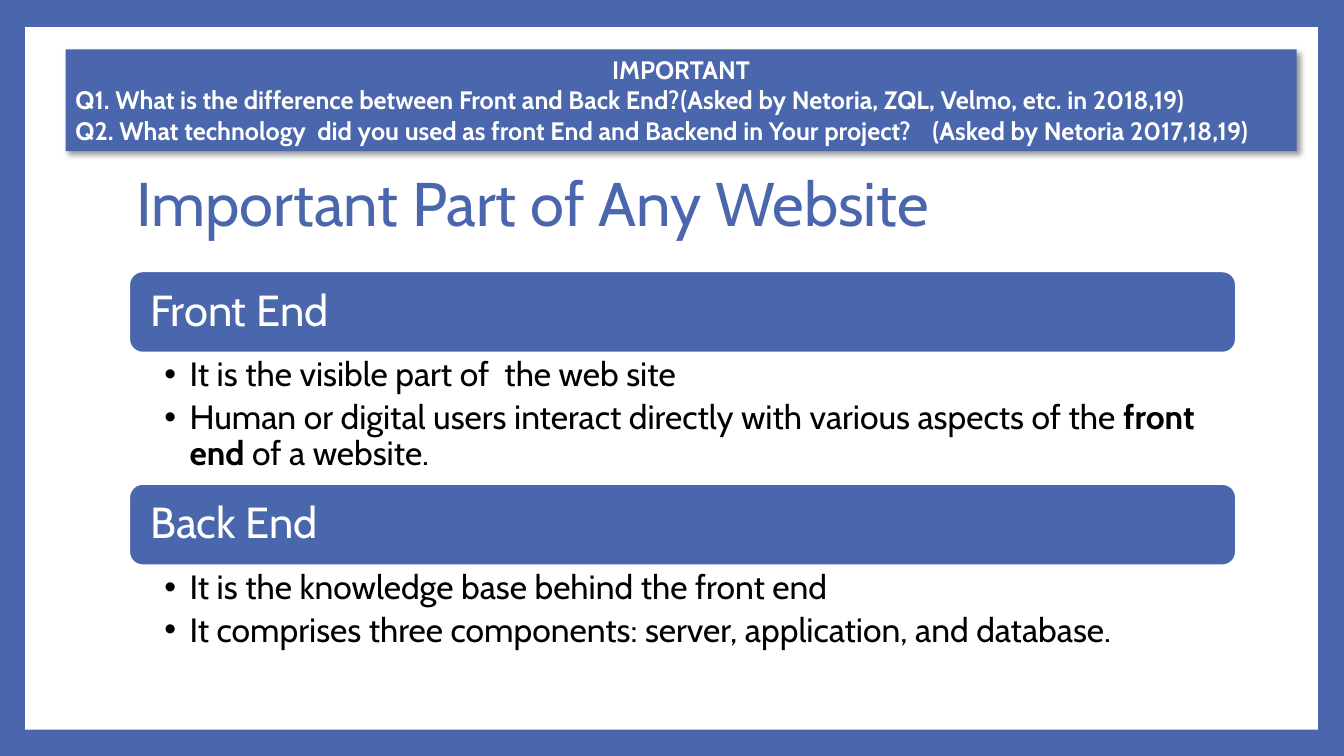
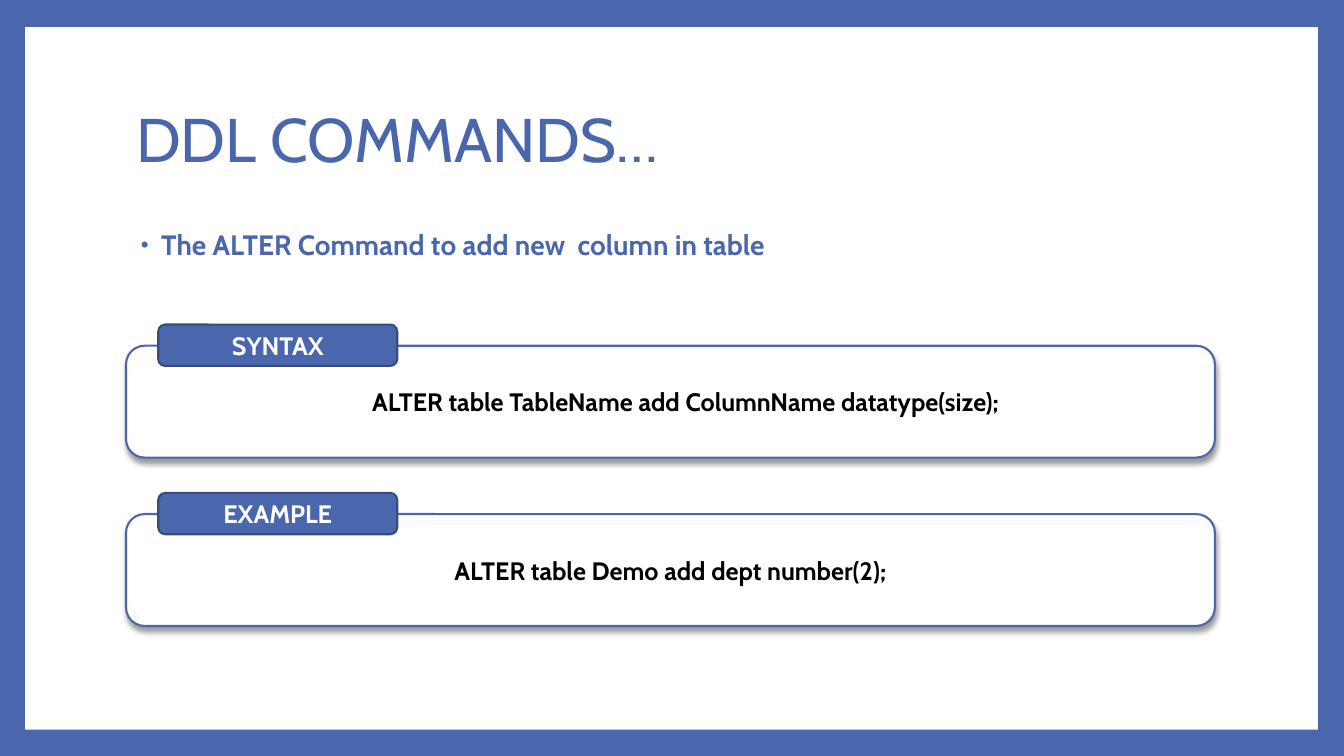
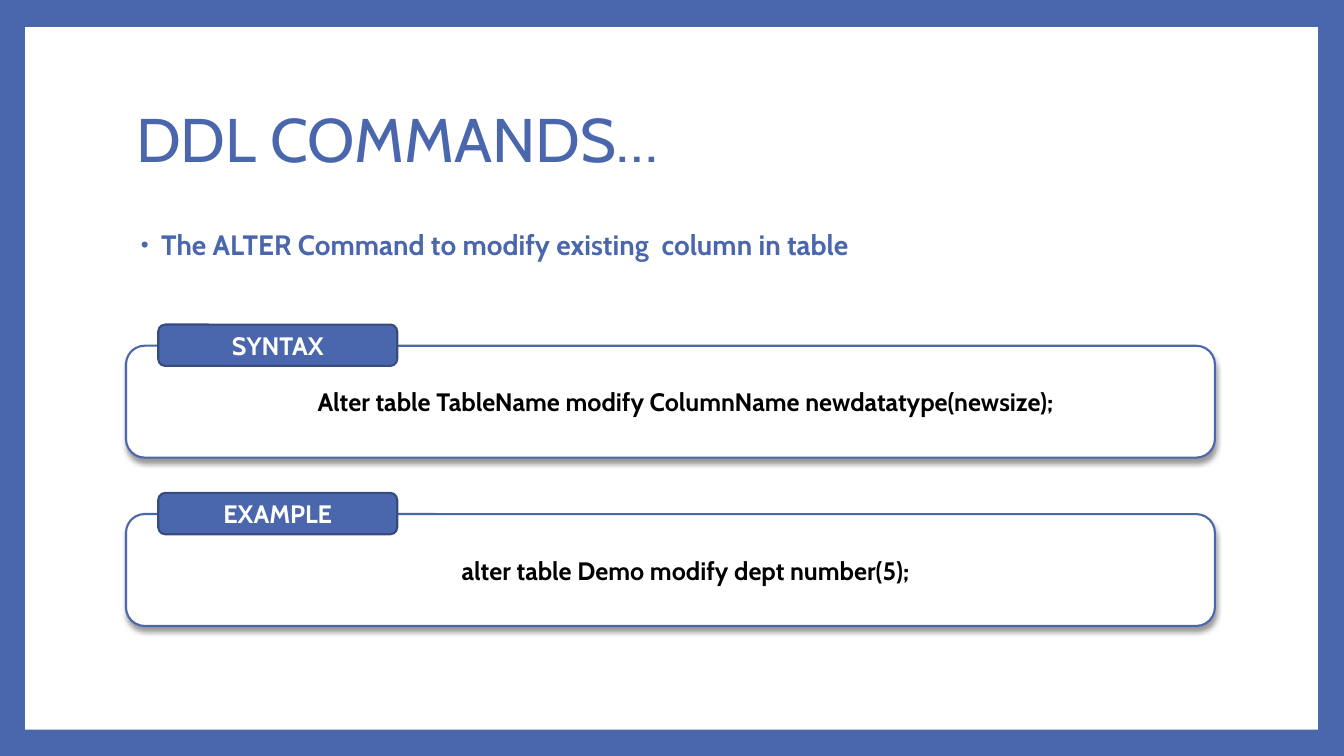
"""Build three lesson slides: website parts and two DDL commands."""
import lxml.etree
import pptx
import pptx.dml.color
import pptx.enum.shapes
import pptx.enum.text
import pptx.oxml.ns
import pptx.util

Inches = pptx.util.Inches
Pt = pptx.util.Pt
RGBColor = pptx.dml.color.RGBColor
Shape = pptx.enum.shapes.MSO_SHAPE
Align = pptx.enum.text.PP_ALIGN
Anchor = pptx.enum.text.MSO_ANCHOR
qn = pptx.oxml.ns.qn

BLUE = RGBColor(0x4A, 0x66, 0xAC)
NAVY = RGBColor(0x37, 0x4B, 0x7F)
WHITE = RGBColor(0xFF, 0xFF, 0xFF)
BLACK = RGBColor(0x00, 0x00, 0x00)
FONT = "Cabin"
LEFT, WIDTH = 1.25, 10.8


def add_element(parent, tag, **attributes):
    """Append a drawing element to its parent and return it."""
    return lxml.etree.SubElement(parent, qn(tag), attributes)


def write(frame, text, *, size=18, color=BLACK, bold=False, align=Align.LEFT,
          spacing=1.0, after=0, margin=0, indent=0, bullet=None, bullet_size=100, tab=None):
    """Add a paragraph to a text frame; parts between ** are bold."""
    para = frame.paragraphs[0]
    if para.runs:
        para = frame.add_paragraph()
    para.alignment = align
    para.line_spacing = spacing
    para.space_before = Pt(0)
    para.space_after = Pt(after)
    properties = para._p.get_or_add_pPr()
    properties.set("marL", str(Inches(margin)))
    properties.set("indent", str(Inches(indent)))
    if bullet:
        tint = add_element(properties, "a:buClr")
        add_element(tint, "a:srgbClr", val=str(color))
        add_element(properties, "a:buSzPct", val=str(bullet_size * 1000))
        add_element(properties, "a:buFont", typeface="Arial")
        add_element(properties, "a:buChar", char=bullet)
    if tab:
        stops = add_element(properties, "a:tabLst")
        add_element(stops, "a:tab", pos=str(Inches(tab)), algn="l")
    for number, part in enumerate(text.split("**")):
        span = para.add_run()
        span.text = part
        span.font.name = FONT
        span.font.size = Pt(size)
        span.font.bold = bold or number % 2 == 1
        span.font.color.rgb = color


class Lesson:
    """Hold the shared style and the current slide."""

    def __init__(self):
        """Set up the slide size, the blue background and the white panel."""
        self.deck = pptx.Presentation()
        self.deck.slide_width = Inches(13.33)
        self.deck.slide_height = Inches(7.5)
        fill = self.deck.slide_master.background.fill
        fill.solid()
        fill.fore_color.rgb = BLUE
        self.layout = self.deck.slide_layouts[5]
        self.page = None

    def add_page(self, title, top=0.67):
        """Start a slide with its title, and give the layout its panel once."""
        first = self.page is None
        self.page = self.deck.slides.add_slide(self.layout)
        if first:
            panel = self.add_block(Shape.RECTANGLE, 0.25, 0.27, 12.82, 6.97, WHITE)
            panel.element.nvSpPr.cNvPr.set("id", "20")
            self.layout.placeholders[0].element.addprevious(panel.element)
        box = self.page.shapes.title
        box.left, box.top = Inches(LEFT), Inches(top)
        box.width, box.height = Inches(WIDTH), Inches(1.48)
        frame = box.text_frame
        frame.auto_size = pptx.enum.text.MSO_AUTO_SIZE.NONE
        frame.vertical_anchor = Anchor.MIDDLE
        write(frame, title, size=44, color=BLUE, spacing=0.9)

    def add_block(self, kind, left, top, width, height, fill, line=None, shadow_angle=None):
        """Add a filled shape with an optional outline and shadow."""
        block = self.page.shapes.add_shape(
            kind, Inches(left), Inches(top), Inches(width), Inches(height))
        block.fill.solid()
        block.fill.fore_color.rgb = fill
        if line is None:
            block.line.fill.background()
        else:
            block.line.color.rgb = line
            block.line.width = Pt(1.5)
        block.shadow.inherit = False
        if shadow_angle is not None:
            effects = block.element.spPr.find(qn("a:effectLst"))
            shadow = add_element(effects, "a:outerShdw", blurRad=str(Pt(4)), dist=str(Pt(3)),
                                 dir=str(shadow_angle * 60000), algn="tl", rotWithShape="0")
            tint = add_element(shadow, "a:srgbClr", val=str(BLACK))
            add_element(tint, "a:alpha", val="40000")
        block.text_frame.word_wrap = True
        return block

    def add_text(self, left, top, width, height, insets=(0.1, 0.05, 0.1, 0.05)):
        """Add an empty wrapping text box and return its frame."""
        box = self.page.shapes.add_textbox(
            Inches(left), Inches(top), Inches(width), Inches(height))
        frame = box.text_frame
        frame.word_wrap = True
        (frame.margin_left, frame.margin_top,
         frame.margin_right, frame.margin_bottom) = map(Inches, insets)
        return frame

    def add_banner(self, heading, questions):
        """Add the banner of questions, each with its own tab stop."""
        block = self.add_block(Shape.RECTANGLE, 0.65, 0.49, 12.21, 1.01, BLUE, shadow_angle=45)
        frame = block.text_frame
        frame.vertical_anchor = Anchor.TOP
        write(frame, heading, color=WHITE, bold=True, align=Align.CENTER)
        for question, tab in questions:
            write(frame, question, color=WHITE, bold=True, tab=tab)

    def add_section(self, top, heading, points, height):
        """Add a heading bar with bullet points under it."""
        bar = self.add_block(Shape.ROUNDED_RECTANGLE, 1.28, top, 10.98, 0.81, BLUE, WHITE)
        frame = bar.text_frame
        frame.vertical_anchor = Anchor.MIDDLE
        frame.margin_left = frame.margin_right = Inches(0.17)
        write(frame, heading, size=31, color=WHITE, spacing=0.9)
        body = self.add_text(1.28, top + 0.82, 10.98, height, (0.35, 0.04, 0.24, 0.04))
        for point in points:
            write(body, point, size=24, spacing=0.9, after=4.5,
                  margin=0.25, indent=-0.25, bullet="•")

    def add_lead(self, text):
        """Add the bold bullet under the title."""
        write(self.add_text(LEFT, 2.25, WIDTH, 0.66), text, size=20, color=BLUE, bold=True,
              spacing=0.9, margin=0.25, indent=-0.2, bullet="•", bullet_size=80)

    def add_card(self, top, label, code, margin=0.3):
        """Add a code card with a label tab on its top edge."""
        card = self.add_block(Shape.ROUNDED_RECTANGLE, LEFT, top, WIDTH, 1.11,
                              WHITE, BLUE, shadow_angle=90)
        write(card.text_frame, code, bold=True, align=Align.CENTER, margin=margin)
        tab = self.add_block(Shape.ROUNDED_RECTANGLE, LEFT + 0.32, top - 0.21, 2.37, 0.41,
                             BLUE, NAVY)
        write(tab.text_frame, label, color=WHITE, bold=True, align=Align.CENTER)

    def add_command(self, lead, syntax, example, example_margin=0.3):
        """Add a slide on one command with its syntax and example."""
        self.add_page("DDL COMMANDS…")
        self.add_lead(lead)
        self.add_card(5.1, "EXAMPLE", example, example_margin)
        self.add_card(3.43, "SYNTAX", syntax)


def main():
    """Build and save the slides."""
    lesson = Lesson()
    lesson.add_page("Important Part of Any Website", top=1.31)
    lesson.add_section(2.69, "Front End", [
        "It is the visible part of  the web site",
        "Human or digital users interact directly with various aspects of the "
        "**front end** of a website.",
    ], 1.3)
    lesson.add_section(4.8, "Back End", [
        "It is the knowledge base behind the front end",
        "It comprises three components: server, application, and database.",
    ], 0.91)
    lesson.add_banner("IMPORTANT", [
        ("Q1. What is the difference between Front and Back End?"
         "\t(Asked by Netoria, ZQL, Velmo, etc. in 2018,19)", 6),
        ("Q2. What technology  did you used as front End and Backend in Your project?"
         "\t(Asked by Netoria 2017,18,19)", 8.5),
    ])
    lesson.add_command("The ALTER Command to add new  column in table",
                       "ALTER table TableName add ColumnName datatype(size);",
                       "ALTER table Demo add dept number(2);", example_margin=0)
    lesson.add_command("The ALTER Command to modify existing  column in table",
                       "Alter table TableName modify ColumnName newdatatype(newsize);",
                       "alter table Demo modify dept number(5);")
    lesson.deck.save("out.pptx")


if __name__ == "__main__":
    main()
